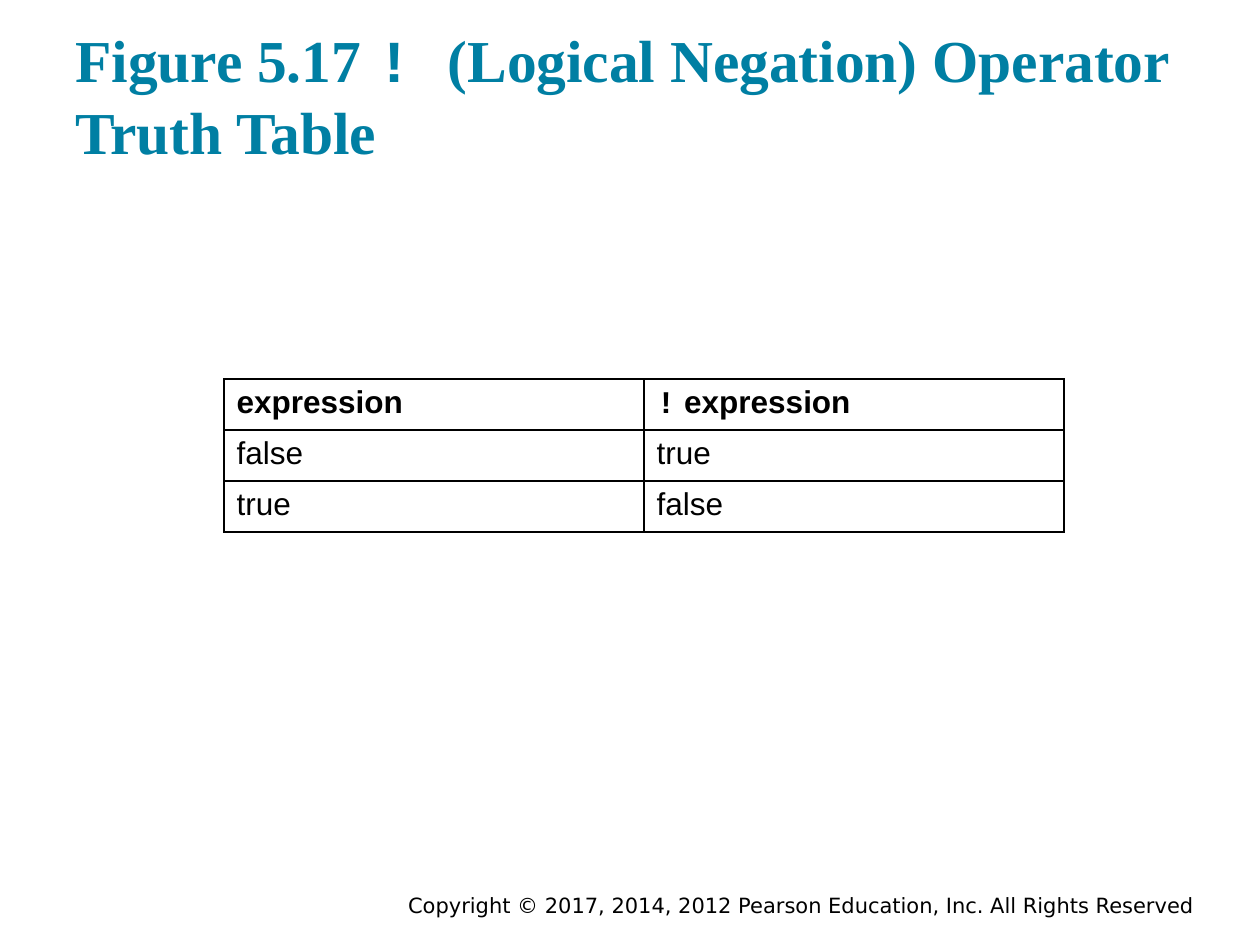
from dataclasses import dataclass
from typing import NamedTuple

from lxml.etree import SubElement
from pptx import Presentation
from pptx.dml.color import RGBColor
from pptx.enum.text import MSO_ANCHOR, MSO_AUTO_SIZE, PP_ALIGN
from pptx.oxml import parse_xml
from pptx.oxml.ns import nsdecls, qn
from pptx.util import Emu, Pt


@dataclass(frozen=True)
class Theme:
    teal: str = "007FA3"
    black: str = "000000"
    title: int = 34
    body: int = 18
    foot: int = 12
    rule: int = 1
    serif: str = "Times New Roman"
    sans: str = "Arial"
    mono: str = "Courier New"
    small: str = "DejaVu Sans"


class Box(NamedTuple):
    left: int
    top: int
    width: int
    height: int


class Style(NamedTuple):
    face: str
    size: int
    color: str
    bold: bool = False


class Part(NamedTuple):
    text: str
    face: str


Line = list[Part]
THEME = Theme()
SCALE = 914400 / 126


def px(count: int) -> Emu:
    return Emu(round(count * SCALE))


def write(para, parts: Line, style: Style) -> None:
    font = para.font
    font.size = Pt(style.size)
    font.bold = style.bold
    font.color.rgb = RGBColor.from_string(style.color)
    same = all(part.face == style.face for part in parts)
    if same:
        font.name = style.face
    for part in parts:
        run = para.add_run()
        run.text = part.text
        if not same:
            run.font.name = part.face


def label(slide, box: Box, parts: Line, style: Style, anchor, align, pad: int) -> None:
    frame = slide.shapes.add_textbox(*map(px, box)).text_frame
    frame.word_wrap = True
    frame.auto_size = MSO_AUTO_SIZE.NONE
    frame.vertical_anchor = anchor
    frame.margin_top = frame.margin_bottom = px(pad)
    para = frame.paragraphs[0]
    para.alignment = align
    write(para, parts, style)


def border(cell) -> None:
    props = cell._tc.get_or_add_tcPr()
    for spot, side in enumerate(("lnL", "lnR", "lnT", "lnB")):
        line = parse_xml(f'<a:{side} {nsdecls("a")} w="{Pt(THEME.rule)}"/>')
        fill = SubElement(line, qn("a:solidFill"))
        SubElement(fill, qn("a:srgbClr"), val=THEME.black)
        props.insert(spot, line)


def grid(slide, box: Box, rows: list[list[Line]]) -> None:
    count, wide = len(rows), len(rows[0])
    table = slide.shapes.add_table(count, wide, *map(px, box)).table
    for col in table.columns:
        col.width = px(box.width // wide)
    for row in table.rows:
        row.height = px(box.height // count)
    for down, row in enumerate(rows):
        style = Style(THEME.sans, THEME.body, THEME.black, down == 0)
        for over, parts in enumerate(row):
            cell = table.cell(down, over)
            cell.fill.background()
            border(cell)
            write(cell.text_frame.paragraphs[0], parts, style)


def plain(text: str) -> Line:
    return [Part(text, THEME.sans)]


def main() -> None:
    deck = Presentation()
    deck.slide_width, deck.slide_height = px(1260), px(945)
    slide = deck.slides.add_slide(deck.slide_layouts[6])

    notice = "Copyright © 2017, 2014, 2012 Pearson Education, Inc. All Rights Reserved"
    label(slide, Box(365, 888, 842, 34), [Part(notice, THEME.small)],
          Style(THEME.small, THEME.foot, THEME.black),
          MSO_ANCHOR.MIDDLE, PP_ALIGN.RIGHT, 6)

    title = [
        Part("Figure 5.17 ", THEME.serif),
        Part("! ", THEME.mono),
        Part("(Logical Negation) Operator Truth Table", THEME.serif),
    ]
    label(slide, Box(63, 32, 1134, 147), title,
          Style(THEME.serif, THEME.title, THEME.teal, True),
          MSO_ANCHOR.BOTTOM, PP_ALIGN.LEFT, 13)

    negated = [Part("!", THEME.mono), Part(" expression", THEME.sans)]
    grid(slide, Box(224, 379, 840, 153), [
        [plain("expression"), negated],
        [plain("false"), plain("true")],
        [plain("true"), plain("false")],
    ])
    deck.save("out.pptx")


if __name__ == "__main__":
    main()
